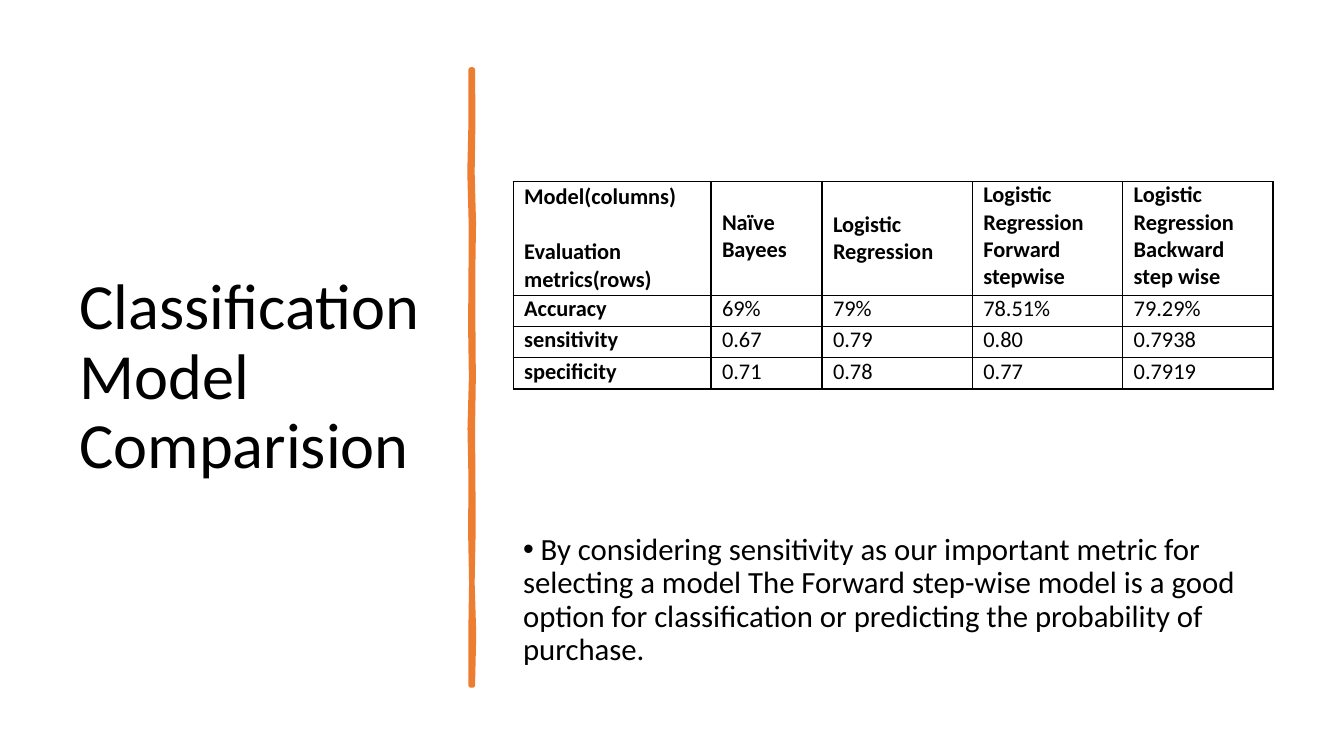
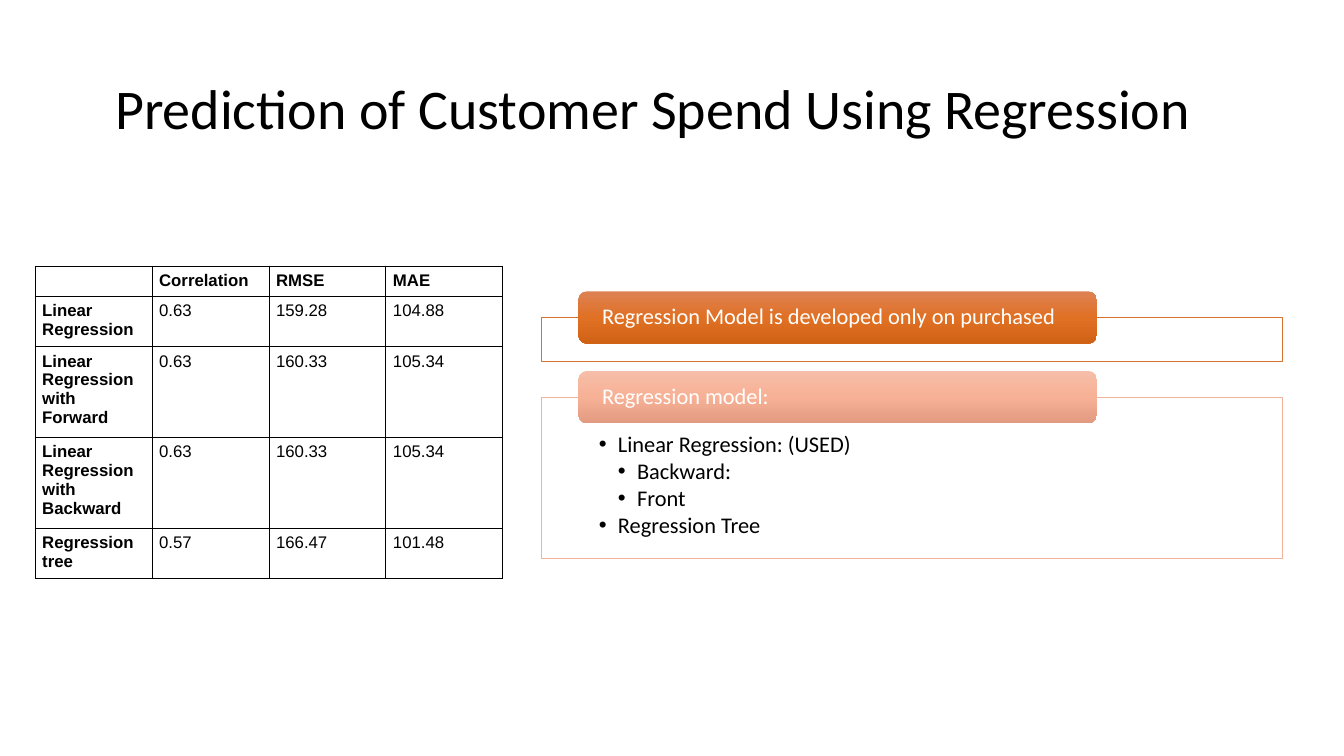
from dataclasses import dataclass

from lxml.etree import SubElement
from pptx import Presentation
from pptx.dml.color import RGBColor
from pptx.enum.shapes import MSO_SHAPE as Preset
from pptx.enum.text import MSO_ANCHOR as Anchor, PP_ALIGN as Align
from pptx.oxml.ns import qn
from pptx.util import Emu, Inches, Pt

COLORS = {
    "text": "000000", "paper": "FFFFFF", "accent": "ED7D31",
    "strong": "D7712C", "soft": "F3B39B",
}
GRADIENTS = {
    "strong": ["DD8254", "E07024", "D06216"],
    "soft": ["F6BDA8", "F7B196", "E29A80"],
}
BODY_INSETS = (0.1, 0.05, 0.1, 0.05)
TITLE = {"name": "Calibri", "color": "text", "line_spacing": 0.9}


@dataclass
class Box:
    left: float
    top: float
    width: float
    height: float

    def area(self, left, top, width, height):
        """A box inside this one, in percent of its size."""
        return Box(self.left + self.width * left / 100, self.top + self.height * top / 100,
                   self.width * width / 100, self.height * height / 100)

    def emu(self):
        return [Emu(int(v)) for v in (self.left, self.top, self.width, self.height)]


SLIDE = Box(0, 0, Inches(13.333), Inches(7.5))


def rgb(name):
    return RGBColor.from_string(COLORS[name])


# Text
def set_insets(holder, anchor=Anchor.TOP, insets=BODY_INSETS):
    left, top, right, bottom = map(Inches, insets)
    values = {"vertical_anchor": anchor, "margin_left": left, "margin_top": top,
              "margin_right": right, "margin_bottom": bottom}
    for key, value in values.items():
        setattr(holder, key, value)


def write(frame, lines, size, name="Calibri", color="text", bold=False, **para_format):
    frame.word_wrap = True
    for index, line in enumerate(lines):
        para = frame.add_paragraph() if index else frame.paragraphs[0]
        para.text = line
        for key, value in {"alignment": Align.LEFT, **para_format}.items():
            setattr(para, key, value)
        for span in para.runs:
            for key, value in {"name": name, "size": Pt(size), "bold": bold}.items():
                setattr(span.font, key, value)
            span.font.color.rgb = rgb(color)
        if not line:
            SubElement(para._p, qn("a:endParaRPr"), sz=str(size * 100))


def add_bullet(para, margin, indent):
    props = para._p.get_or_add_pPr()
    props.set("marL", str(Inches(margin)))
    props.set("indent", str(Inches(indent)))
    SubElement(props, qn("a:buFont"), typeface="Arial")
    SubElement(props, qn("a:buChar"), char="•")


def add_text(page, box, lines, size, anchor=Anchor.TOP, **style):
    frame = page.shapes.add_textbox(*box.emu()).text_frame
    set_insets(frame, anchor)
    write(frame, lines, size, **style)
    return frame


def add_title(page, box, text, size):
    add_text(page, box, [text], size, Anchor.MIDDLE, **TITLE)


# Tables
def add_borders(cell, width):
    props = cell._tc.get_or_add_tcPr()
    for index, side in enumerate(("lnL", "lnR", "lnT", "lnB")):
        line = SubElement(props, qn("a:" + side), w=str(Pt(width)))
        fill = SubElement(line, qn("a:solidFill"))
        SubElement(fill, qn("a:srgbClr"), val=COLORS["text"])
        props.insert(index, line)


def add_grid(page, box, rows, columns, heights, border, insets, middle=(), **style):
    table = page.shapes.add_table(len(rows), len(columns), *box.emu()).table
    table.first_row = table.horz_banding = False
    for column, share in zip(table.columns, columns):
        column.width = Emu(int(box.width * share / sum(columns)))
    for row, share in zip(table.rows, heights):
        row.height = Emu(int(box.height * share / sum(heights)))
    for r, row in enumerate(rows):
        for c, text in enumerate(row):
            cell = table.cell(r, c)
            cell.fill.background()
            set_insets(cell, Anchor.MIDDLE if (r, c) in middle else Anchor.TOP, insets)
            lines = text if isinstance(text, list) else [text]
            write(cell.text_frame, lines, bold=r == 0 or c == 0, **style)
            add_borders(cell, border)


# Hand-drawn vertical rule
def add_brush_rule(page, box):
    left_wobble = [0, 0, -60, 10, 0, -20, 20, -50, 0, -20, 30, -10, 0]
    right_wobble = [0, 20, -20, 50, 10, 20, 40, 0, 20, 30, -20, 60, 0]
    step = box.height / (len(left_wobble) - 1)
    left = [(box.left + box.width * v / 100, box.top + i * step)
            for i, v in enumerate(left_wobble)]
    right = [(box.left + box.width * (1 + v / 100), box.top + i * step)
             for i, v in enumerate(right_wobble)]
    builder = page.shapes.build_freeform(*map(int, left[0]))
    builder.add_line_segments([tuple(map(int, p)) for p in left[1:] + right[::-1]])
    rule = builder.convert_to_shape()
    rule.shadow.inherit = False
    rule.fill.solid()
    rule.fill.fore_color.rgb = rgb("accent")
    rule.line.color.rgb = rgb("accent")
    rule.line.width = Pt(3.25)
    SubElement(rule.line._get_or_add_ln(), qn("a:round"))


# Framed list with a tab on its upper edge
def add_section(page, box, top, height, tone, heading, items=()):
    tab_height = 19.6
    frame_box = box.area(0, top + tab_height / 2, 100, height)
    panel = page.shapes.add_shape(Preset.RECTANGLE, *frame_box.emu())
    panel.shadow.inherit = False
    panel.fill.solid()
    panel.fill.fore_color.rgb = rgb("paper")
    panel.line.color.rgb = rgb(tone)
    panel.line.width = Pt(0.5)
    if items:
        set_insets(panel.text_frame, Anchor.TOP, (0.57, 0.36, 0.57, 0.12))
        write(panel.text_frame, [text for _, text in items], 16,
              line_spacing=0.9, space_after=Pt(2))
        for para, (level, _) in zip(panel.text_frame.paragraphs, items):
            para.level = level
            add_bullet(para, 0.19 * level, -0.19)

    tab = page.shapes.add_shape(Preset.ROUNDED_RECTANGLE,
                                *box.area(5, top, 70, tab_height).emu())
    tab.shadow.inherit = False
    tab.line.fill.background()
    tab.fill.gradient()
    tab.fill.gradient_angle = 270
    stops = tab._element.spPr.find(qn("a:gradFill")).find(qn("a:gsLst"))
    for stop in list(stops):
        stops.remove(stop)
    for index, value in enumerate(GRADIENTS[tone]):
        stop = SubElement(stops, qn("a:gs"), pos=str(index * 50000))
        SubElement(stop, qn("a:srgbClr"), val=value)
    set_insets(tab.text_frame, Anchor.MIDDLE, (0.21, 0, 0.21, 0))
    write(tab.text_frame, [heading], 16, color="paper", line_spacing=0.9)


# Slides
def build_classification(page, box):
    add_title(page, box.area(5.18, 9.33, 28.05, 81.47),
              "Classification\nModel \nComparision ", 46)
    add_brush_rule(page, box.area(35.03, 9.2, 0.15, 81.47))
    note = add_text(
        page, box.area(38.18, 70, 56.55, 20.8),
        [" By considering sensitivity as our important metric for selecting a model "
         "The Forward step-wise model is a good option for classification or "
         "predicting the probability of purchase."],
        22, line_spacing=0.9, space_after=Pt(6))
    add_bullet(note.paragraphs[0], 0, -0.25)
    rows = [
        [["Model(columns)", "", "Evaluation metrics(rows)"], ["", "Naïve Bayees"],
         "Logistic Regression", ["Logistic Regression", "Forward stepwise"],
         ["Logistic Regression", "Backward step wise"]],
        ["Accuracy", "69%", "79%", "78.51%", "79.29%"],
        ["sensitivity", "0.67", "0.79", "0.80", "0.7938"],
        ["specificity", "0.71", "0.78", "0.77", "0.7919"],
    ]
    add_grid(page, box.area(38.18, 24, 56.55, 27.47), rows,
             columns=[1.96, 1.1, 1.49, 1.49, 1.49], heights=[1.13, 0.31, 0.31, 0.31],
             border=1, insets=(0.11, 0, 0.11, 0), middle=[(0, 0), (0, 2)], size=16)


def build_regression(page, box):
    add_title(page, box.area(6.9, 5.07, 86.25, 19.33),
              " Prediction of Customer Spend Using Regression", 40)
    diagram = box.area(40.28, 38.53, 55.12, 35.33)
    add_section(page, diagram, 0, 16.6, "strong",
                "Regression Model is developed only on purchased")
    add_section(page, diagram, 29.8, 60.4, "soft", "Regression model:",
                [(1, "Linear Regression: (USED)"), (2, "Backward:"), (2, "Front"),
                 (1, "Regression Tree")])
    rows = [
        ["", "Correlation", "RMSE", "MAE"],
        ["Linear Regression", "0.63", "159.28", "104.88"],
        ["Linear Regression with Forward", "0.63", "160.33", "105.34"],
        ["Linear Regression with Backward", "0.63", "160.33", "105.34"],
        ["Regression tree", "0.57", "166.47", "101.48"],
    ]
    add_grid(page, box.area(2.62, 35.2, 34.8, 39.07), rows,
             columns=[1] * 4, heights=[0.29, 0.48, 0.84, 0.84, 0.48], border=0.75,
             insets=(0.07, 0.05, 0.07, 0.05), size=12, name="Arial",
             alignment=Align.JUSTIFY)


def main():
    deck = Presentation()
    deck.slide_width, deck.slide_height = SLIDE.width, SLIDE.height
    for build in (build_classification, build_regression):
        build(deck.slides.add_slide(deck.slide_layouts[6]), SLIDE)
    deck.save("out.pptx")


if __name__ == "__main__":
    main()
